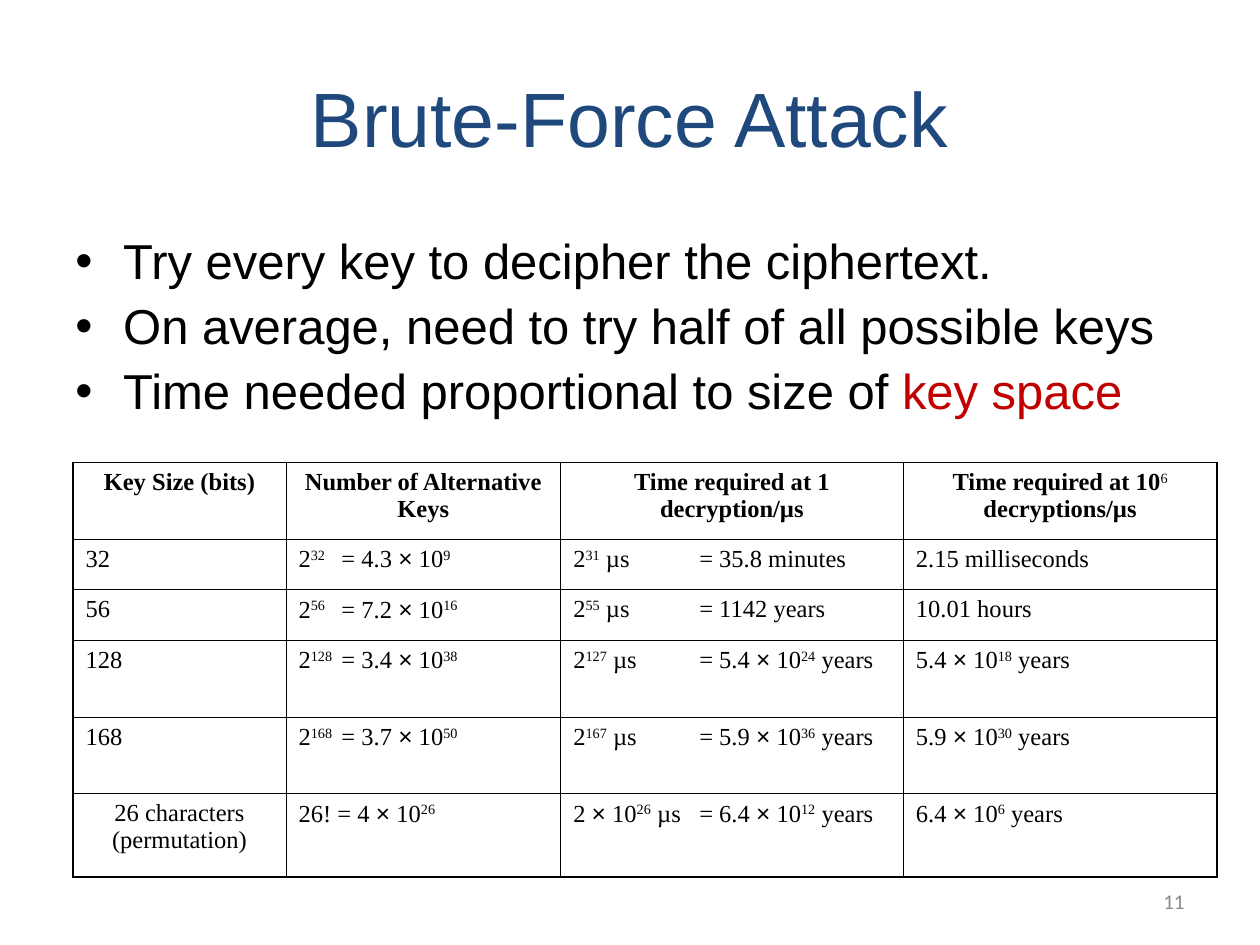
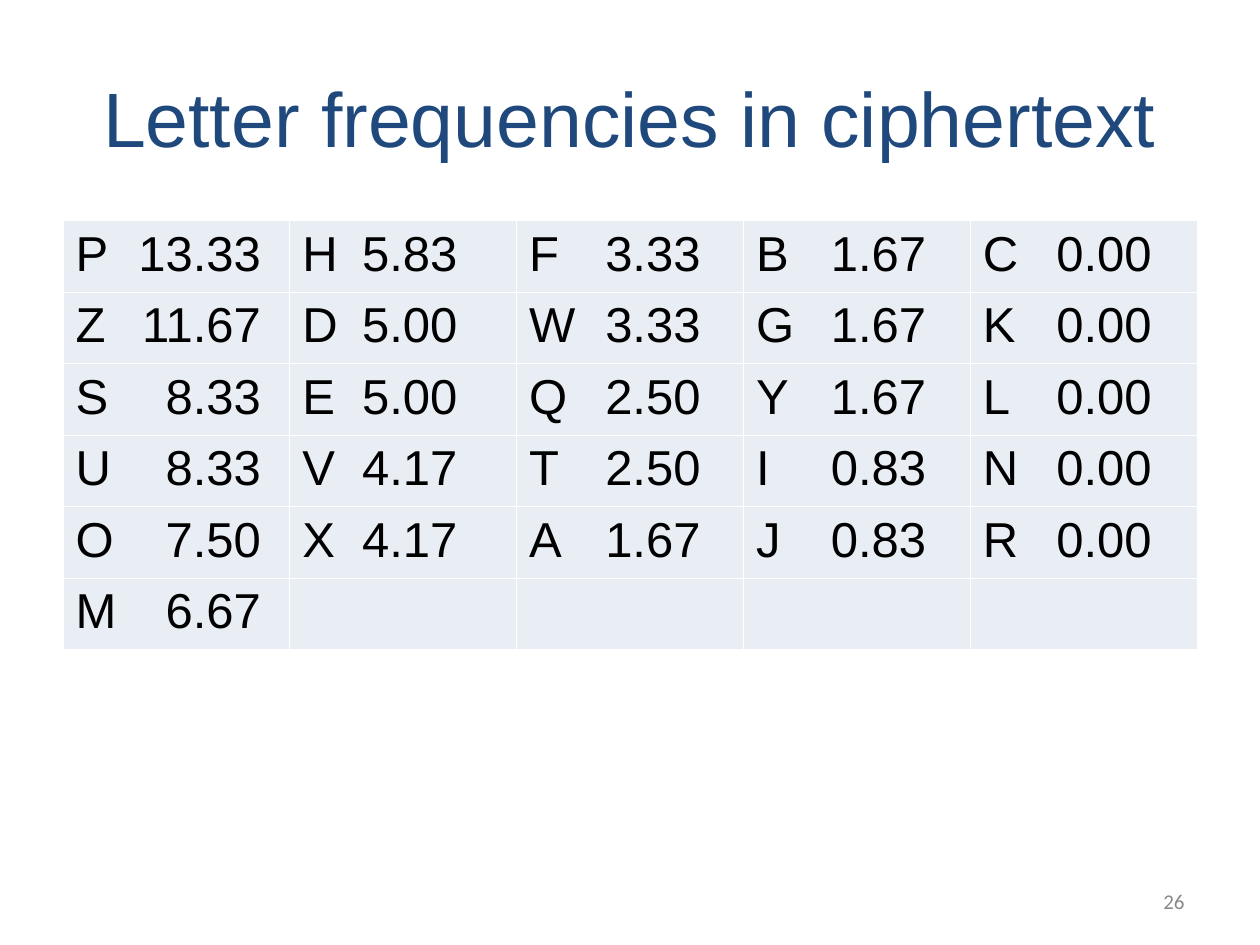
from dataclasses import dataclass
from typing import Any, NamedTuple

from lxml.etree import SubElement
from pptx import Presentation
from pptx.dml.color import RGBColor
from pptx.enum.text import MSO_ANCHOR, PP_ALIGN
from pptx.oxml.ns import qn
from pptx.util import Emu, Inches, Pt

COLUMNS, ROWS = 100, 75  # layout grid of the slide


@dataclass(frozen=True)
class Theme:
    heading: str = "1F497D"
    ink: str = "000000"
    accent: str = "C00000"
    muted: str = "898989"
    cell: str = "E9EDF4"
    paper: str = "FFFFFF"
    sans: str = "Arial"
    serif: str = "Times New Roman"
    footer: str = "Calibri"
    title_size: float = 44
    body_size: float = 28
    table_size: float = 14
    number_size: float = 12
    thin: float = 0.45
    thick: float = 1.08


class Box(NamedTuple):
    """Place and size in grid columns and rows."""
    column: float
    row: float
    columns: float
    rows: float


class Style(NamedTuple):
    font: str
    size: float
    color: str
    bold: bool = False


class Tab(NamedTuple):
    inches: float
    align: str


class Piece(NamedTuple):
    text: str
    color: str


@dataclass(frozen=True)
class Grid:
    box: Box
    widths: list[float]
    heights: list[float]
    line: str
    inner: float
    outer: float
    fill: str | None = None


THEME = Theme()
TITLE = Style(THEME.sans, THEME.title_size, THEME.heading)
BULLET = Style(THEME.sans, THEME.body_size, THEME.ink)
FREQUENCY = Style(THEME.sans, THEME.body_size, THEME.ink)
ENTRY = Style(THEME.serif, THEME.table_size, THEME.ink)
HEADER = ENTRY._replace(bold=True)
NUMBER = Style(THEME.footer, THEME.number_size, THEME.muted)

TITLE_BOX = Box(5, 3, 90, 12.5)
BULLET_BOX = Box(5, 18.3, 90, 20)
NUMBER_BOX = Box(71.7, 69.5, 23.3, 4)

deck = Presentation()
deck.slide_width, deck.slide_height = Inches(10), Inches(7.5)


# Shared helpers
def across(columns: float) -> Emu:
    return Emu(round(deck.slide_width * columns / COLUMNS))


def down(rows: float) -> Emu:
    return Emu(round(deck.slide_height * rows / ROWS))


def place(box: Box) -> tuple[Emu, Emu, Emu, Emu]:
    return across(box.column), down(box.row), across(box.columns), down(box.rows)


def assign(target: Any, values: dict[str, Any]) -> None:
    for name, value in values.items():
        setattr(target, name, value)


def add_run(paragraph: Any, text: str, style: Style, raised: bool = False) -> None:
    run = paragraph.add_run()
    run.text = text
    assign(run.font, {"name": style.font, "size": Pt(style.size), "bold": style.bold})
    run.font.color.rgb = RGBColor.from_string(style.color)
    if raised:
        run.font._element.set("baseline", "30000")


def add_formula(paragraph: Any, formula: str, style: Style) -> None:
    """Write text whose exponents stand between carets; the times sign is sans."""
    for index, part in enumerate(formula.split("^")):
        if index % 2:
            add_run(paragraph, part, style._replace(bold=False), raised=True)
            continue
        for order, piece in enumerate(part.split("×")):
            if order:
                add_run(paragraph, "×", style._replace(font=THEME.sans))
            if piece:
                add_run(paragraph, piece, style)


def add_tab(paragraph: Any, tab: Tab) -> None:
    stops = SubElement(paragraph._p.get_or_add_pPr(), qn("a:tabLst"))
    SubElement(stops, qn("a:tab"), pos=str(Inches(tab.inches)), algn=tab.align)


def add_border(cell: Any, side: str, color: str, width: float) -> None:
    line = SubElement(cell._tc.get_or_add_tcPr(), qn(f"a:ln{side}"), w=str(Pt(width)))
    SubElement(SubElement(line, qn("a:solidFill")), qn("a:srgbClr"), val=color)


def add_grid(slide: Any, grid: Grid) -> Any:
    last_row, last_column = len(grid.heights) - 1, len(grid.widths) - 1
    table = slide.shapes.add_table(last_row + 1, last_column + 1, *place(grid.box)).table
    assign(table, {"first_row": False, "horz_banding": False})
    for column, width in zip(table.columns, grid.widths):
        column.width = across(width)
    for row, height in zip(table.rows, grid.heights):
        row.height = down(height)
    for r in range(last_row + 1):
        for c in range(last_column + 1):
            cell = table.cell(r, c)
            edges = {"L": c == 0, "R": c == last_column, "T": r == 0, "B": r == last_row}
            for side, is_outer in edges.items():
                add_border(cell, side, grid.line, grid.outer if is_outer else grid.inner)
            if grid.fill:
                cell.fill.solid()
                cell.fill.fore_color.rgb = RGBColor.from_string(grid.fill)
            else:
                cell.fill.background()
    return table


def add_text_box(slide: Any, box: Box, anchor: MSO_ANCHOR) -> Any:
    frame = slide.shapes.add_textbox(*place(box)).text_frame
    assign(frame, {"word_wrap": True, "vertical_anchor": anchor})
    return frame


def add_slide(title: str, number: int) -> Any:
    slide = deck.slides.add_slide(deck.slide_layouts[5])
    slide.background.fill.solid()
    slide.background.fill.fore_color.rgb = RGBColor.from_string(THEME.paper)
    heading = slide.shapes.title
    assign(heading, dict(zip(("left", "top", "width", "height"), place(TITLE_BOX))))
    heading.text_frame.vertical_anchor = MSO_ANCHOR.MIDDLE
    line = heading.text_frame.paragraphs[0]
    line.alignment = PP_ALIGN.CENTER
    add_run(line, title, TITLE)
    footer = add_text_box(slide, NUMBER_BOX, MSO_ANCHOR.MIDDLE).paragraphs[0]
    footer.alignment = PP_ALIGN.RIGHT
    add_run(footer, str(number), NUMBER)
    return slide


def add_bullets(slide: Any, bullets: list[list[Piece]]) -> None:
    frame = add_text_box(slide, BULLET_BOX, MSO_ANCHOR.TOP)
    for index, pieces in enumerate(bullets):
        line = frame.add_paragraph() if index else frame.paragraphs[0]
        assign(line, {"line_spacing": 0.9, "space_before": Pt(7)})
        properties = line._p.get_or_add_pPr()
        properties.set("marL", str(Inches(0.38)))
        properties.set("indent", str(Inches(-0.38)))
        SubElement(properties, qn("a:buFont"), typeface=THEME.sans)
        SubElement(properties, qn("a:buChar"), char="•")
        for piece in pieces:
            add_run(line, piece.text, BULLET._replace(color=piece.color))


# Slide: brute-force attack
brute_force = add_slide("Brute-Force Attack", 11)
add_bullets(brute_force, [
    [Piece("Try every key to decipher the ciphertext.", THEME.ink)],
    [Piece("On average, need to try half of all possible keys", THEME.ink)],
    [Piece("Time needed proportional to size of ", THEME.ink),
     Piece("key space", THEME.accent)],
])

KEY_SIZES = [
    ["Key Size (bits)", "Number of Alternative Keys",
     "Time required at 1 decryption/µs", "Time required at 10^6^ decryptions/µs"],
    ["32", "2^32^\t= 4.3 × 10^9^", "2^31^ µs\t= 35.8 minutes", "2.15 milliseconds"],
    ["56", "2^56^\t= 7.2 × 10^16^", "2^55^ µs\t= 1142 years", "10.01 hours"],
    ["128", "2^128^\t= 3.4 × 10^38^", "2^127^ µs\t= 5.4 × 10^24^ years",
     "5.4 × 10^18^ years"],
    ["168", "2^168^\t= 3.7 × 10^50^", "2^167^ µs\t= 5.9 × 10^36^ years",
     "5.9 × 10^30^ years"],
    ["26 characters (permutation)", "26! = 4 × 10^26^",
     "2 × 10^26^ µs\t= 6.4 × 10^12^ years", "6.4 × 10^6^ years"],
]
EQUALS_TABS = {1: Tab(0.34, "l"), 2: Tab(1, "l")}

key_table = add_grid(brute_force, Grid(
    Box(5.8, 36.7, 90.8, 33), [16.9, 21.8, 27.2, 24.9], [6.1, 4, 4, 6.1, 6.1, 6.6],
    THEME.ink, THEME.thin, THEME.thick))
for r, entries in enumerate(KEY_SIZES):
    for c, entry in enumerate(entries):
        line = key_table.cell(r, c).text_frame.paragraphs[0]
        centred = r == 0 or (c == 0 and r == len(KEY_SIZES) - 1)
        assign(line, {"space_before": Pt(3), "space_after": Pt(3),
                      "alignment": PP_ALIGN.CENTER if centred else PP_ALIGN.LEFT})
        if "\t" in entry:
            add_tab(line, EQUALS_TABS[c])
        add_formula(line, entry, ENTRY if r else HEADER)

# Slide: letter frequencies, listed column by column
frequencies = add_slide("Letter frequencies in ciphertext", 26)
LETTER_COLUMNS = [
    ("PZSUOM", ["13.33", "11.67", "8.33", "8.33", "7.50", "6.67"]),
    ("HDEVX", ["5.83", "5.00", "5.00", "4.17", "4.17"]),
    ("FWQTA", ["3.33", "3.33", "2.50", "2.50", "1.67"]),
    ("BGYIJ", ["1.67", "1.67", "1.67", "0.83", "0.83"]),
    ("CKLNR", ["0.00"] * 5),
]
VALUE_EDGES = [1.47, 1.23, 1.36, 1.35, 1.34]

letter_box = Box(5, 17.5, 90, 34)
letter_rows = max(len(letters) for letters, _ in LETTER_COLUMNS)
letter_table = add_grid(frequencies, Grid(
    letter_box, [letter_box.columns / len(LETTER_COLUMNS)] * len(LETTER_COLUMNS),
    [letter_box.rows / letter_rows] * letter_rows,
    THEME.paper, THEME.thin, THEME.thin, THEME.cell))
for c, ((letters, percentages), edge) in enumerate(zip(LETTER_COLUMNS, VALUE_EDGES)):
    for r, (letter, percentage) in enumerate(zip(letters, percentages)):
        line = letter_table.cell(r, c).text_frame.paragraphs[0]
        add_tab(line, Tab(edge, "r"))
        add_run(line, f"{letter}\t{percentage}", FREQUENCY)

deck.save("out.pptx")
